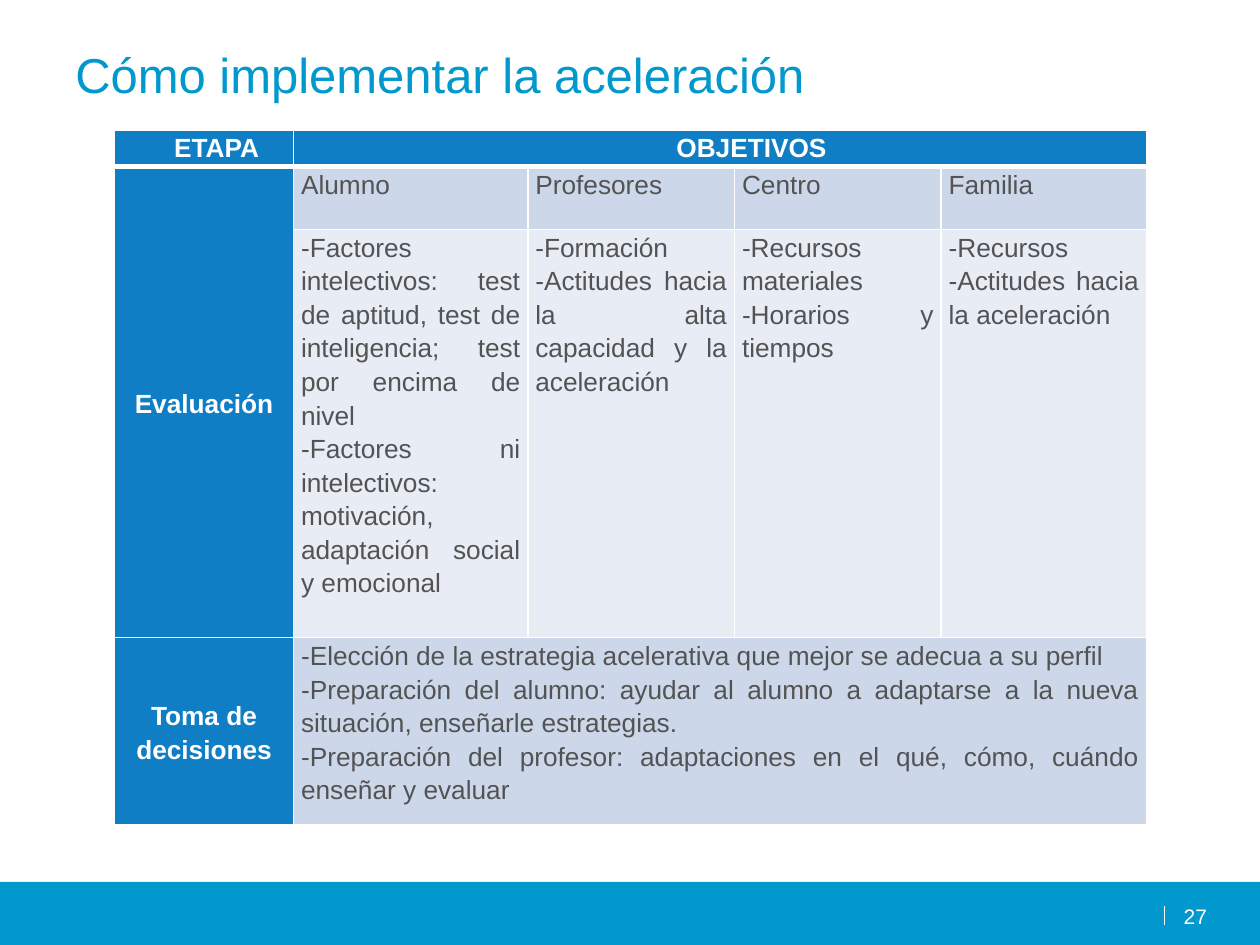
"""Build the slide on how to implement academic acceleration."""
import pptx
import pptx.dml.color
import pptx.enum.shapes
import pptx.enum.text
import pptx.oxml.ns
import pptx.util
from lxml import etree

Inches = pptx.util.Inches
Pt = pptx.util.Pt
RGBColor = pptx.dml.color.RGBColor
PP_ALIGN = pptx.enum.text.PP_ALIGN
MSO_ANCHOR = pptx.enum.text.MSO_ANCHOR
qn = pptx.oxml.ns.qn

WHITE = RGBColor(0xFF, 0xFF, 0xFF)
CYAN = RGBColor(0x00, 0x98, 0xCD)
BLUE = RGBColor(0x0F, 0x7E, 0xC5)
LIGHT = RGBColor(0xCC, 0xD8, 0xEA)
PALE = RGBColor(0xE7, 0xEC, 0xF5)
GREY = RGBColor(0x53, 0x53, 0x53)

COLUMNS = [1.42, 1.86, 1.64, 1.64, 1.63]
ROWS = [0.29, 0.5, 3.24, 1.49]
GROUPS = ["Alumno", "Profesores", "Centro", "Familia"]
FACTORS = [
    "-Factores intelectivos: test de aptitud, test de inteligencia; test por encima de nivel\n"
    "-Factores ni intelectivos: motivación, adaptación social y emocional",
    "-Formación\n-Actitudes hacia la alta capacidad y la aceleración",
    "-Recursos materiales\n-Horarios y tiempos",
    "-Recursos\n-Actitudes hacia la aceleración",
]
DECISIONS = (
    "-Elección de la estrategia acelerativa que mejor se adecua a su perfil\n"
    "-Preparación del alumno: ayudar al alumno a adaptarse a la nueva situación, "
    "enseñarle estrategias.\n"
    "-Preparación del profesor: adaptaciones en el qué, cómo, cuándo enseñar y evaluar"
)


class SlideBuilder:
    """Hold the style and the current slide."""

    font = "Arial"
    table_size = 15

    def __init__(self, slide):
        self.slide = slide

    def style(self, p, size, color, bold=False):
        for r in p.runs:
            r.font.name = self.font
            r.font.size = Pt(size)
            r.font.bold = bold
            r.font.color.rgb = color

    def bar(self, x, y, w, h, color):
        sp = self.slide.shapes.add_shape(
            pptx.enum.shapes.MSO_SHAPE.RECTANGLE, Inches(x), Inches(y), Inches(w), Inches(h))
        sp.shadow.inherit = False
        sp.fill.solid()
        sp.fill.fore_color.rgb = color
        sp.line.fill.background()

    def line(self, x1, y1, x2, y2, color):
        cxn = self.slide.shapes.add_connector(
            pptx.enum.shapes.MSO_CONNECTOR.STRAIGHT,
            Inches(x1), Inches(y1), Inches(x2), Inches(y2))
        cxn.line.color.rgb = color
        cxn.line.width = Pt(0.75)
        etree.SubElement(cxn._element.spPr, qn("a:effectLst"))

    def text(self, x, y, w, h, text, size, color, align=PP_ALIGN.LEFT, inset=(0, 0)):
        sp = self.slide.shapes.add_textbox(Inches(x), Inches(y), Inches(w), Inches(h))
        tf = sp.text_frame
        tf.word_wrap = True
        tf.margin_left = tf.margin_right = Inches(inset[0])
        tf.margin_top = tf.margin_bottom = Inches(inset[1])
        tf.text = text
        p = tf.paragraphs[0]
        p.alignment = align
        self.style(p, size, color)

    def table(self, x, y, columns, rows):
        frame = self.slide.shapes.add_table(
            len(rows), len(columns), Inches(x), Inches(y),
            Inches(sum(columns)), Inches(sum(rows)))
        table = frame.table
        table.first_row = table.horz_banding = False
        for column, width in zip(table.columns, columns):
            column.width = Inches(width)
        for row, height in zip(table.rows, rows):
            row.height = Inches(height)
        return table

    def cell(self, cell, text, fill, heading=False, indent=(0, 0)):
        cell.margin_left = cell.margin_right = Inches(0.06)
        cell.margin_top = cell.margin_bottom = 0
        cell.fill.solid()
        cell.fill.fore_color.rgb = fill
        cell.text_frame.text = text
        for p in cell.text_frame.paragraphs:
            p.alignment = PP_ALIGN.CENTER if heading else PP_ALIGN.JUSTIFY
            p.line_spacing = 1.15
            pPr = p._p.get_or_add_pPr()
            pPr.set("marL", str(Inches(indent[0])))
            pPr.set("indent", str(Inches(indent[1])))
            self.style(p, self.table_size, WHITE if heading else GREY, heading)

    def borders(self, table, color):
        for i, row in enumerate(table.rows):
            for cell in row.cells:
                tcPr = cell._tc.get_or_add_tcPr()
                for n, side in enumerate("LRTB"):
                    thick = (i, side) in ((0, "B"), (1, "T"))
                    ln = etree.Element(qn("a:ln" + side), w=str(Pt(3 if thick else 1)))
                    fill = etree.SubElement(ln, qn("a:solidFill"))
                    etree.SubElement(fill, qn("a:srgbClr"), val=str(color))
                    tcPr.insert(n, ln)


def main():
    prs = pptx.Presentation()
    prs.slide_width, prs.slide_height = Inches(10), Inches(7.5)
    s = SlideBuilder(prs.slides.add_slide(prs.slide_layouts[6]))

    s.bar(0, 7, 10, 0.5, CYAN)
    s.line(9.24, 7.34, 9.24, 7.19, WHITE)
    s.text(0.5, 0.3, 9, 1.25, "Cómo implementar la aceleración", 28, CYAN, inset=(0.1, 0.05))
    s.text(9.28, 7.17, 0.3, 0.19, "27", 12, WHITE, PP_ALIGN.RIGHT)

    table = s.table(0.91, 1.03, COLUMNS, ROWS)
    table.cell(0, 1).merge(table.cell(0, 4))
    table.cell(1, 0).merge(table.cell(2, 0))
    table.cell(3, 1).merge(table.cell(3, 4))
    s.cell(table.cell(0, 0), "ETAPA", BLUE, True, (0.1, 0.1))
    s.cell(table.cell(0, 1), "OBJETIVOS", BLUE, True, (0.5, 0))
    for row, stage in ((1, "Evaluación"), (3, "Toma de decisiones")):
        s.cell(table.cell(row, 0), stage, BLUE, True)
        table.cell(row, 0).vertical_anchor = MSO_ANCHOR.MIDDLE
    for col, (group, factors) in enumerate(zip(GROUPS, FACTORS), 1):
        s.cell(table.cell(1, col), group, LIGHT)
        s.cell(table.cell(2, col), factors, PALE)
    s.cell(table.cell(3, 1), DECISIONS, LIGHT)
    s.borders(table, WHITE)

    prs.save("out.pptx")


if __name__ == "__main__":
    main()
